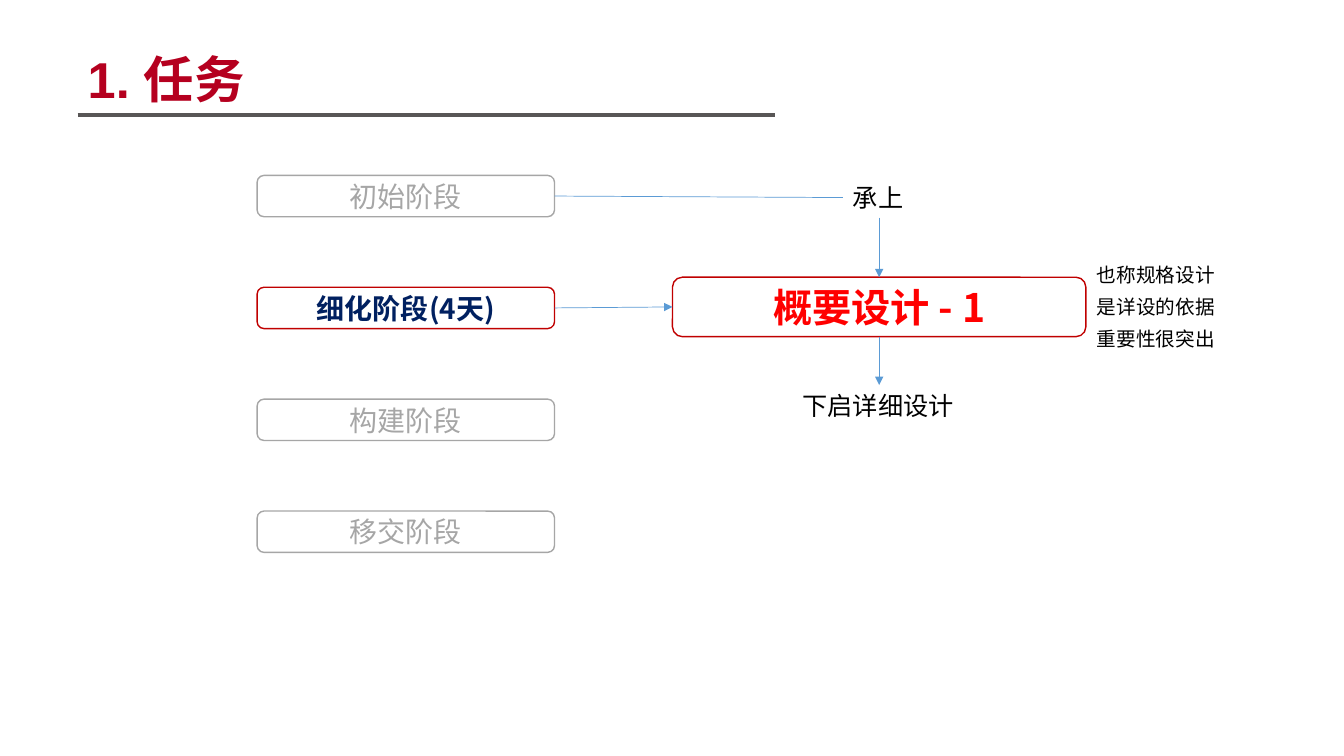
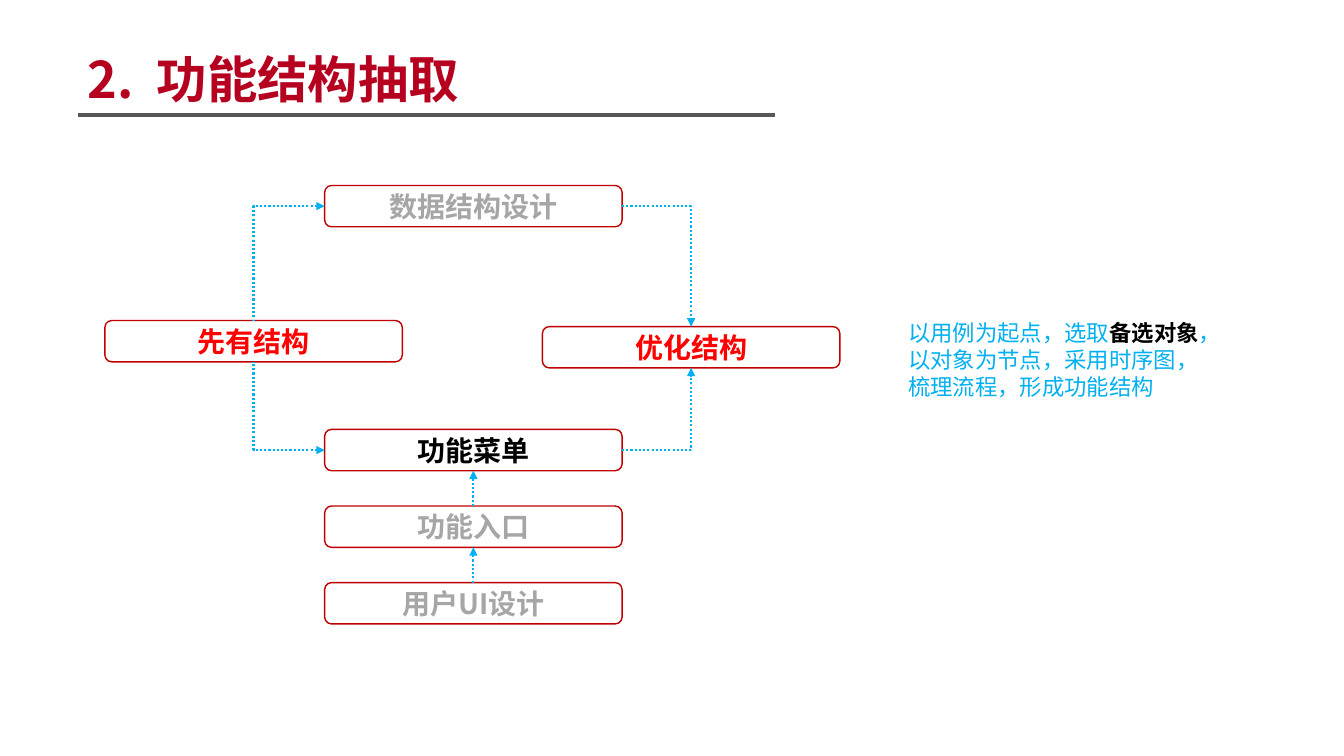
from pptx import Presentation
from pptx.dml.color import RGBColor
from pptx.enum.dml import MSO_LINE
from pptx.enum.shapes import MSO_CONNECTOR, MSO_SHAPE
from pptx.enum.text import MSO_ANCHOR, MSO_AUTO_SIZE, PP_ALIGN
from pptx.oxml.ns import qn
from pptx.util import Pt
from lxml import etree

PX = 9144  # EMU per px, 100 px to the inch
STRAIGHT, ELBOW = MSO_CONNECTOR.STRAIGHT, MSO_CONNECTOR.ELBOW
ROUND_RECT = MSO_SHAPE.ROUNDED_RECTANGLE
DOTTED = MSO_LINE.ROUND_DOT
TOP, LEFT, BOTTOM, RIGHT = range(4)  # connection sites of a box
AT_BEGIN, AT_END = "a:headEnd", "a:tailEnd"
CJK = "Noto Sans CJK SC"
COLORS = {
    "title": "B5001F", "rule": "585656", "outline": "C00000", "red": "FF0000",
    "navy": "002060", "gray": "A6A6A6", "black": "000000",
    "blue": "5B9BD5", "cyan": "00B0F0",
}
BOX_WIDTH, BOX_HEIGHT = 295, 41
PHASE_TOP, PHASE_PITCH = 174, 111
MENU_TOP, MENU_PITCH = 426, 76


def color(name):
    return RGBColor.from_string(COLORS[name])


def add_run(paragraph, text, size, color_name, bold=False, font_name=CJK):
    run = paragraph.add_run()
    run.text = text
    run.font.size = Pt(size)
    run.font.bold = bold
    run.font.name = font_name
    run.font.color.rgb = color(color_name)
    east_asian = etree.SubElement(run.font._element, qn("a:ea"))
    east_asian.set("typeface", CJK)


# Boxes: name, left, top, width, height, text, size, text colour, bold, outline
phases = [("初始阶段", "gray", False, "gray"), ("细化阶段(4天)", "navy", True, "outline"),
          ("构建阶段", "gray", False, "gray"), ("移交阶段", "gray", False, "gray")]
task_boxes = [
    (f"phase {i}", 255, PHASE_TOP + i * PHASE_PITCH, BOX_WIDTH, BOX_HEIGHT, text, 20, *style)
    for i, (text, *style) in enumerate(phases)
]
task_boxes.append(("design", 667, 275, 410, 59, "概要设计 - 1", 28, "red", True, "outline"))

structure_items = [
    ("existing", 104, 318, "先有结构", "red"),
    ("optimized", 538, 324, "优化结构", "red"),
    ("data", 322, 184, "数据结构设计", "gray"),
    ("menu", 322, MENU_TOP, "功能菜单", "black"),
    ("entry", 322, MENU_TOP + MENU_PITCH, "功能入口", "gray"),
    ("interface", 322, MENU_TOP + 2 * MENU_PITCH, "用户UI设计", "gray"),
]
structure_boxes = [
    (name, left, top, BOX_WIDTH, BOX_HEIGHT, text, 20, text_color, True, "outline")
    for name, left, top, text, text_color in structure_items
]

# Notes: name, left, top, width, height, wrap, size, paragraphs of (text, colour, bold)
# Links: begin box, site, end box, site, kind, arrow
slides = [
    {
        "title": "1. 任务", "title font": "Arial", "boxes": task_boxes,
        "notes": [
            ("above", 836, 176, 72, 40, False, 18, [[("承上", "black", False)]]),
            ("below", 786, 382, 172, 40, False, 18, [[("下启详细设计", "black", False)]]),
            ("remarks", 1078, 256, 138, 98, False, 14,
             [[(text, "black", False)] for text in ("也称规格设计", "是详设的依据", "重要性很突出")]),
        ],
        "link style": ("blue", 0.5, None),
        "links": [
            ("phase 1", RIGHT, "design", LEFT, STRAIGHT, AT_END),
            ("phase 0", RIGHT, "above", LEFT, STRAIGHT, None),
            ("above", BOTTOM, "design", TOP, STRAIGHT, AT_END),
            ("design", BOTTOM, "below", TOP, STRAIGHT, AT_END),
        ],
    },
    {
        "title": "2.  功能结构抽取", "title font": CJK, "boxes": structure_boxes,
        "notes": [
            ("method", 891, 312, 314, 91, True, 16, [[
                ("以用例为起点，选取", "cyan", False),
                ("备选对象", "black", True),
                ("，以对象为节点，采用时序图，梳理流程，形成功能结构", "cyan", False)]]),
        ],
        "link style": ("cyan", 1.5, DOTTED),
        "links": [
            ("data", LEFT, "existing", TOP, ELBOW, AT_BEGIN),
            ("menu", LEFT, "existing", BOTTOM, ELBOW, AT_BEGIN),
            ("entry", TOP, "menu", BOTTOM, STRAIGHT, AT_END),
            ("interface", TOP, "entry", BOTTOM, STRAIGHT, AT_END),
            ("data", RIGHT, "optimized", TOP, ELBOW, AT_END),
            ("menu", RIGHT, "optimized", BOTTOM, ELBOW, AT_END),
        ],
    },
]

presentation = Presentation()
presentation.slide_width = 1333 * PX
presentation.slide_height = 750 * PX

layout = presentation.slide_layouts[5]
layout_title = layout.placeholders[0]
layout_title.left, layout_title.top = 77 * PX, 43 * PX
layout_title.width, layout_title.height = 870 * PX, 71 * PX
layout_title.text_frame.vertical_anchor = MSO_ANCHOR.TOP
layout_title.text_frame.auto_size = MSO_AUTO_SIZE.NONE

for content in slides:
    slide = presentation.slides.add_slide(layout)
    paragraph = slide.shapes.title.text_frame.paragraphs[0]
    paragraph.alignment = PP_ALIGN.LEFT
    add_run(paragraph, content["title"], 36, "title", True, content["title font"])

    nodes = {}
    for name, left, top, width, height, text, size, text_color, bold, outline in content["boxes"]:
        box = slide.shapes.add_shape(ROUND_RECT, left * PX, top * PX, width * PX, height * PX)
        box.shadow.inherit = False
        box.fill.background()
        box.line.color.rgb = color(outline)
        box.line.width = Pt(1)
        box.text_frame.vertical_anchor = MSO_ANCHOR.MIDDLE
        paragraph = box.text_frame.paragraphs[0]
        paragraph.alignment = PP_ALIGN.CENTER
        add_run(paragraph, text, size, text_color, bold)
        nodes[name] = box

    for name, left, top, width, height, wrap, size, paragraphs in content["notes"]:
        note = slide.shapes.add_textbox(left * PX, top * PX, width * PX, height * PX)
        frame = note.text_frame
        frame.word_wrap = wrap
        frame.auto_size = MSO_AUTO_SIZE.SHAPE_TO_FIT_TEXT
        for i, runs in enumerate(paragraphs):
            paragraph = frame.add_paragraph() if i else frame.paragraphs[0]
            paragraph.space_before = Pt(6 if len(paragraphs) > 1 else 0)
            for text, text_color, bold in runs:
                add_run(paragraph, text, size, text_color, bold)
        nodes[name] = note

    rule = slide.shapes.add_connector(STRAIGHT, 77 * PX, 114 * PX, 769 * PX, 114 * PX)
    lines = [(rule, "rule", 3, None, None)]
    for begin, begin_site, end, end_site, kind, arrow in content["links"]:
        link = slide.shapes.add_connector(kind, 0, 0, 0, 0)
        link.begin_connect(nodes[begin], begin_site)
        link.end_connect(nodes[end], end_site)
        if kind == ELBOW:
            link._element.spPr.find(qn("a:prstGeom")).set("prst", "bentConnector2")
        lines.append((link, *content["link style"], arrow))

    for connector, line_color, width, dash, arrow in lines:
        connector.line.color.rgb = color(line_color)
        connector.line.width = Pt(width)
        if dash:
            connector.line.dash_style = dash
        if arrow:
            etree.SubElement(connector.line._ln, qn(arrow)).set("type", "triangle")
        etree.SubElement(connector._element.spPr, qn("a:effectLst"))

presentation.save("out.pptx")
